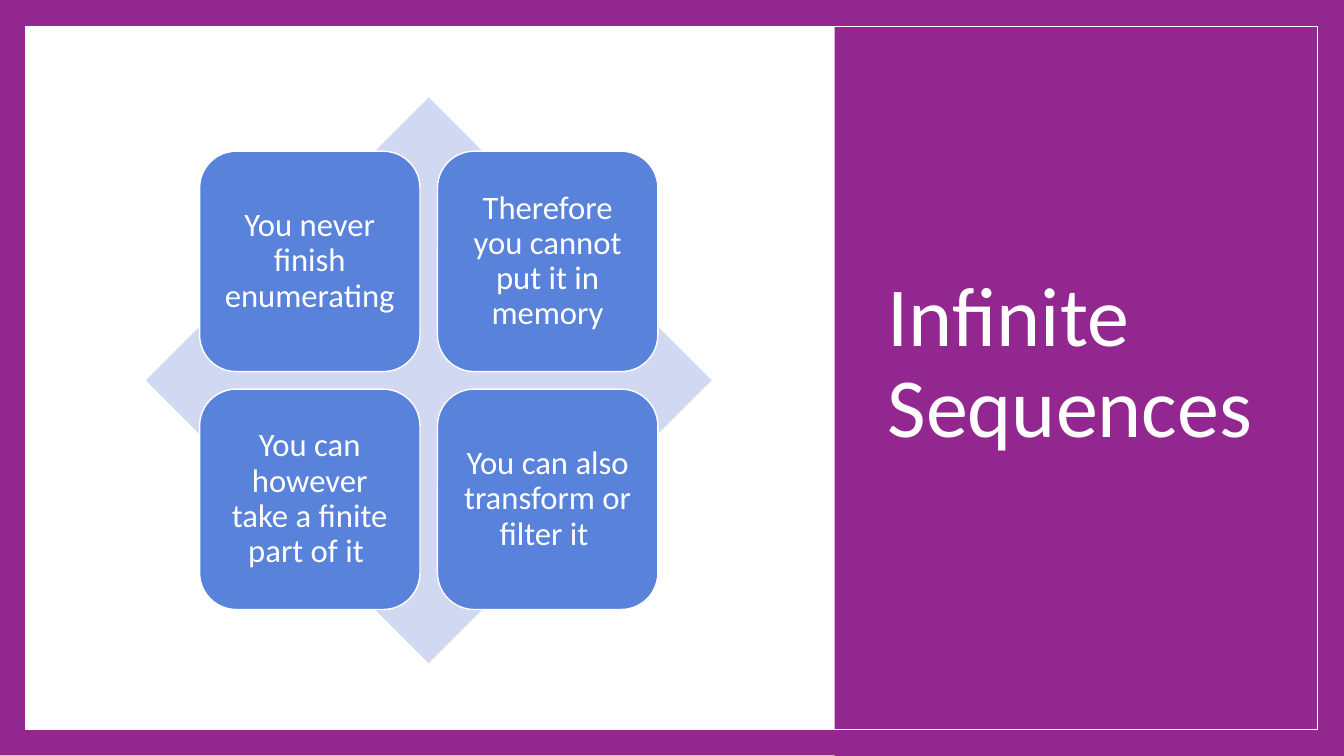
from pptx import Presentation
from pptx.dml.color import RGBColor
from pptx.enum.shapes import MSO_SHAPE
from pptx.enum.text import MSO_ANCHOR, PP_ALIGN
from pptx.util import Inches, Pt

RECT, DIAMOND, ROUNDED = MSO_SHAPE.RECTANGLE, MSO_SHAPE.DIAMOND, MSO_SHAPE.ROUNDED_RECTANGLE
MIDDLE, CENTER, LEFT = MSO_ANCHOR.MIDDLE, PP_ALIGN.CENTER, PP_ALIGN.LEFT

PURPLE = RGBColor(0x92, 0x27, 0x8F)
WHITE = RGBColor(0xFF, 0xFF, 0xFF)
PALE_BLUE = RGBColor(0xD1, 0xD8, 0xF1)
BLUE = RGBColor(0x59, 0x82, 0xDB)
FONT = "Calibri"

SLIDE_W, SLIDE_H = 20, 11.25
FRAME = (0.38, 0.39, 19.23, 10.46)
PANEL_LEFT = 12.42

# Matrix: a square diamond with a 2 x 2 grid of cards centred on it
DIAMOND_LEFT, DIAMOND_TOP, DIAMOND_SIZE = 2.17, 1.45, 8.42
CARD_SIZE = 3.28
CARD_PITCH = 3.54
CARD_OFFSET = (DIAMOND_SIZE - CARD_PITCH - CARD_SIZE) / 2
CARD_TEXTS = [
    "You never finish enumerating",
    "Therefore you cannot put it in memory",
    "You can however take a finite part of it ",
    "You can also transform or filter it ",
]


def add_block(slide, kind, box, fill=None, line_width=None):
    block = slide.shapes.add_shape(kind, *map(Inches, box))
    block.shadow.inherit = False
    if fill is None:
        block.fill.background()
    else:
        block.fill.solid()
        block.fill.fore_color.rgb = fill
    if line_width is None:
        block.line.fill.background()
    else:
        block.line.color.rgb = WHITE
        block.line.width = Pt(line_width)
    return block


def write(holder, text, size, align):
    frame = holder.text_frame
    frame.text = text
    frame.word_wrap = True
    frame.vertical_anchor = MIDDLE
    paragraph = frame.paragraphs[0]
    paragraph.alignment = align
    paragraph.line_spacing = 0.9
    font = paragraph.runs[0].font
    font.name, font.size, font.color.rgb = FONT, Pt(size), WHITE


def add_title(slide, text):
    title = slide.shapes.add_textbox(*map(Inches, (13.11, 1, 5.86, 8.86)))
    write(title, text, 90, LEFT)


def add_card(slide, column, row, text):
    left = DIAMOND_LEFT + CARD_OFFSET + column * CARD_PITCH
    top = DIAMOND_TOP + CARD_OFFSET + row * CARD_PITCH
    card = add_block(slide, ROUNDED, (left, top, CARD_SIZE, CARD_SIZE), BLUE, 1.5)
    frame = card.text_frame
    frame.margin_left = frame.margin_right = Inches(0.15)
    frame.margin_top = frame.margin_bottom = Inches(0.15)
    write(card, text, 35, CENTER)


def main():
    deck = Presentation()
    deck.slide_width, deck.slide_height = Inches(SLIDE_W), Inches(SLIDE_H)
    slide = deck.slides.add_slide(deck.slide_layouts[6])

    # Purple border, white content area and purple title panel
    add_block(slide, RECT, (0, -0.01, SLIDE_W, SLIDE_H), PURPLE)
    add_block(slide, RECT, FRAME, WHITE)
    add_block(slide, RECT, (PANEL_LEFT, 0, SLIDE_W - PANEL_LEFT, SLIDE_H), PURPLE)
    add_title(slide, "Infinite Sequences")
    add_block(slide, RECT, FRAME, line_width=1)

    # Matrix of four statements
    add_block(slide, DIAMOND, (DIAMOND_LEFT, DIAMOND_TOP, DIAMOND_SIZE, DIAMOND_SIZE), PALE_BLUE)
    for index, text in enumerate(CARD_TEXTS):
        row, column = divmod(index, 2)
        add_card(slide, column, row, text)

    deck.save("out.pptx")


if __name__ == "__main__":
    main()
